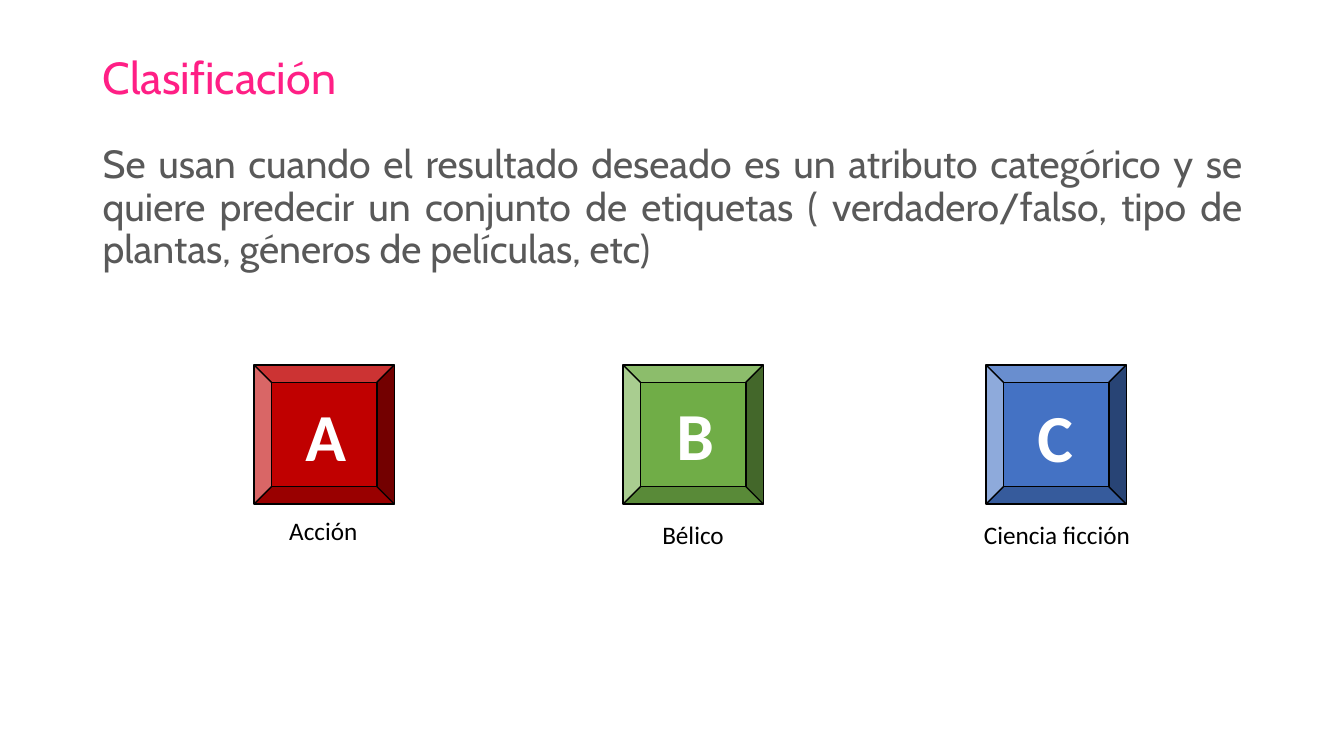
from pptx import Presentation
from pptx.dml.color import RGBColor
from pptx.enum.shapes import MSO_SHAPE as Shape
from pptx.enum.text import MSO_ANCHOR as Anchor, PP_ALIGN as Align
from pptx.util import Pt

PX = 9144  # 100 px to the inch

COLORS = {
    "title": "FF1F85",
    "body": "595959",
    "label": "000000",
    "outline": "000000",
    "letter": "FFFFFF",
    "red": "C00000",
    "green": "70AD47",
    "blue": "4472C4",
}

BUTTON_TOP, BUTTON_WIDTH, BUTTON_HEIGHT = 362, 139, 138
LETTER_WIDTH, LETTER_HEIGHT = 98, 91
LABEL_HEIGHT = 40

# button left, colour, letter, letter left and top, label, label left, top and width
GENRES = [
    (252, "red", "A", (293, 386), "Acción", (277, 506, 151)),
    (618, "green", "B", (661, 385), "Bélico", (647, 510, 151)),
    (978, "blue", "C", (1019, 387), "Ciencia ficción", (966, 510, 196)),
]


def px(*lengths):
    return [length * PX for length in lengths]


def rgb(name):
    return RGBColor.from_string(COLORS[name])


def add_text(slide, area, text, size, color, font="Calibri", bold=False):
    """Add a wrapped one-paragraph text box and return it."""
    box = slide.shapes.add_textbox(*px(*area))
    frame = box.text_frame
    frame.word_wrap = True
    frame.text = text
    span = frame.paragraphs[0].runs[0]
    span.font.name = font
    span.font.size = Pt(size)
    span.font.bold = bold
    span.font.color.rgb = rgb(color)
    return box


def add_heading(slide):
    box = add_text(slide, (92, 40, 1150, 78), "Clasificación", 32, "title", "Cabin")
    box.text_frame.vertical_anchor = Anchor.MIDDLE
    box.text_frame.paragraphs[0].line_spacing = 0.9


def add_definition(slide):
    text = (
        "Se usan cuando el resultado deseado es un atributo categórico y se "
        "quiere predecir un conjunto de etiquetas ( verdadero/falso, tipo de "
        "plantas, géneros de películas, etc)"
    )
    box = add_text(slide, (92, 139, 1150, 156), text, 28, "body", "Cabin")
    para = box.text_frame.paragraphs[0]
    para.alignment = Align.JUSTIFY
    para.line_spacing = 0.9
    para.space_before = Pt(10)


def add_button(slide, left, color):
    button = slide.shapes.add_shape(
        Shape.BEVEL, *px(left, BUTTON_TOP, BUTTON_WIDTH, BUTTON_HEIGHT)
    )
    button.shadow.inherit = False
    button.fill.solid()
    button.fill.fore_color.rgb = rgb(color)
    button.line.color.rgb = rgb("outline")
    button.line.width = Pt(1)


def add_genre(slide, left, color, letter, letter_at, label, label_at):
    add_button(slide, left, color)
    letter_area = (*letter_at, LETTER_WIDTH, LETTER_HEIGHT)
    add_text(slide, letter_area, letter, 48, "letter", bold=True)
    add_text(slide, (*label_at, LABEL_HEIGHT), label, 18, "label")


def main():
    deck = Presentation()
    deck.slide_width, deck.slide_height = px(1333, 750)
    slide = deck.slides.add_slide(deck.slide_layouts[6])
    add_heading(slide)
    add_definition(slide)
    for genre in GENRES:
        add_genre(slide, *genre)
    deck.save("out.pptx")


if __name__ == "__main__":
    main()
